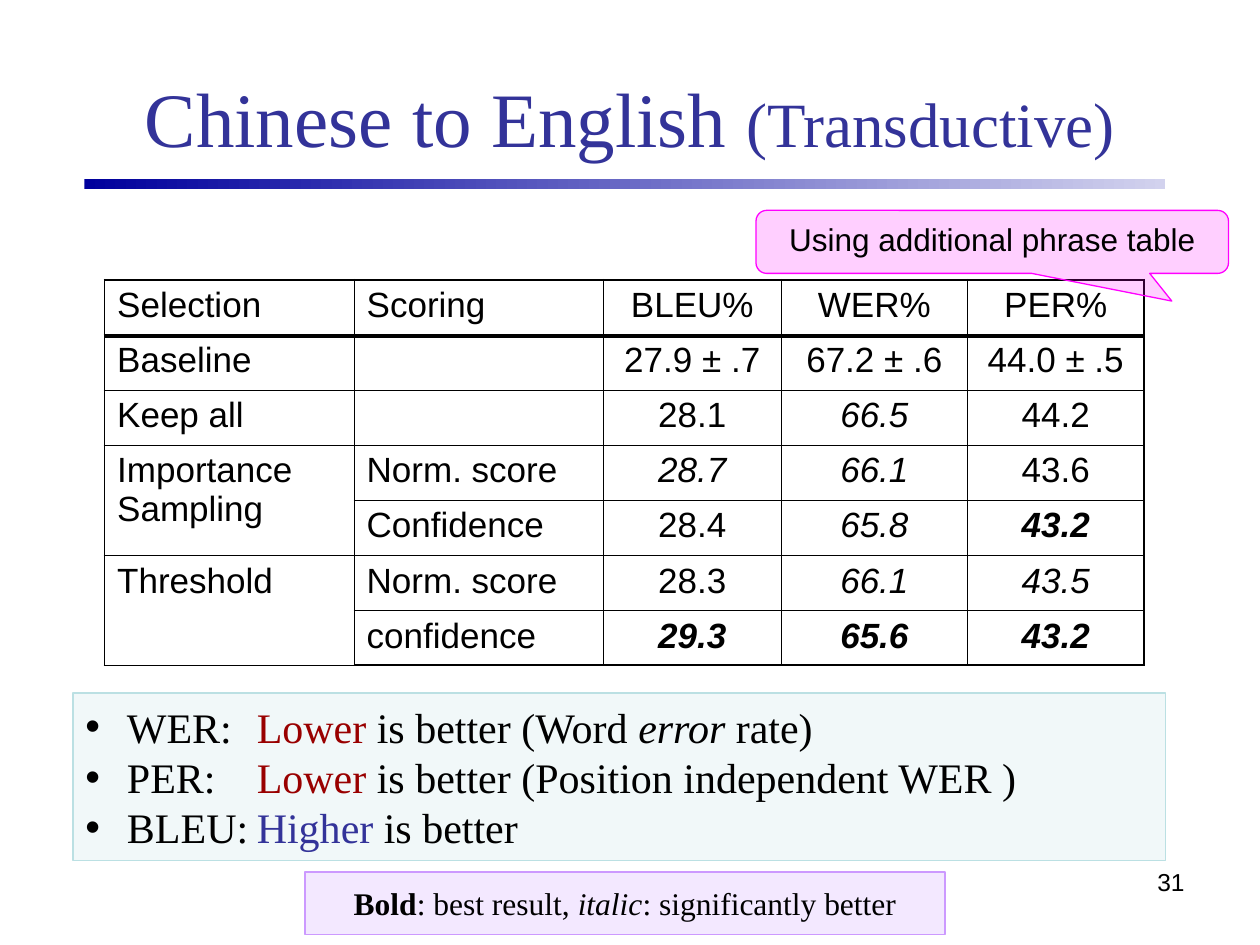
from dataclasses import dataclass, field
from typing import NamedTuple

from lxml import etree
from pptx import Presentation
from pptx import util as u
from pptx.dml import color
from pptx.enum import shapes, text
from pptx.oxml import ns


@dataclass(frozen=True)
class Theme:
    serif: str = "Times New Roman"
    sans: str = "Arial"
    ink: str = "000000"
    indigo: str = "333399"
    red: str = "990000"
    teal: str = "BBE0E3"
    lilac: str = "CC99FF"
    magenta: str = "FF00FF"
    bar_start: str = "00009C"
    bar_end: str = "D2D2EE"
    title_size: int = 44
    subtitle_size: int = 36
    legend_size: int = 24
    table_size: int = 20
    note_size: int = 18
    number_size: int = 14
    inner_line: float = 0.45
    outer_line: float = 1.08


THEME = Theme()


class Span(NamedTuple):
    text: str
    style: dict = {}


class Frame(NamedTuple):
    left: float
    top: float
    width: float
    height: float

    def lengths(self) -> list:
        return [u.Inches(value) for value in self]


@dataclass
class Panel:
    frame: Frame
    preset: shapes.MSO_SHAPE
    tint: str
    opacity: int
    lines: list
    style: dict
    align: text.PP_ALIGN = text.PP_ALIGN.CENTER
    anchor: text.MSO_ANCHOR = text.MSO_ANCHOR.MIDDLE
    adjustments: list = field(default_factory=list)
    tabs: list = field(default_factory=list)


ITALIC = {"italic": True}
BEST = {"italic": True, "bold": True}
RED = {"color": THEME.red}
LEFT, CENTER, RIGHT = text.PP_ALIGN.LEFT, text.PP_ALIGN.CENTER, text.PP_ALIGN.RIGHT


def font_style(name: str, size: float, tint: str = THEME.ink) -> dict:
    return {"name": name, "size": u.Pt(size), "color": tint}


def rgb(value: str) -> color.RGBColor:
    return color.RGBColor.from_string(value)


def add_element(parent, tag: str, **attributes: str):
    return etree.SubElement(parent, ns.qn(tag), attributes)


def write_line(para, spans: list, style: dict, align) -> None:
    para.alignment = align
    for item in spans:
        span = para.add_run()
        span.text = item.text
        for key, value in {**style, **item.style}.items():
            if key == "color":
                span.font.color.rgb = rgb(value)
            else:
                setattr(span.font, key, value)


def add_bullet(para, tabs: list) -> None:
    properties = para._p.get_or_add_pPr()
    properties.set("marL", "0")
    properties.set("indent", "0")
    bullet_color = add_element(properties, "a:buClr")
    add_element(bullet_color, "a:srgbClr", val=THEME.ink)
    add_element(properties, "a:buFont", typeface=THEME.sans)
    add_element(properties, "a:buChar", char="•")
    stops = add_element(properties, "a:tabLst")
    for stop in tabs:
        add_element(stops, "a:tab", pos=str(u.Inches(stop)), algn="l")


def add_panel(slide, panel: Panel) -> None:
    box = slide.shapes.add_shape(panel.preset, *panel.frame.lengths())
    box.shadow.inherit = False
    for index, value in enumerate(panel.adjustments):
        box.adjustments[index] = value
    box.fill.solid()
    box.fill.fore_color.rgb = rgb(panel.tint)
    tint = box._element.spPr.find(".//" + ns.qn("a:srgbClr"))
    add_element(tint, "a:alpha", val=str(panel.opacity * 1000))
    box.line.color.rgb = rgb(panel.tint)
    box.line.width = u.Pt(0.75)
    frame = box.text_frame
    frame.word_wrap = True
    frame.vertical_anchor = panel.anchor
    for index, spans in enumerate(panel.lines):
        para = frame.paragraphs[0] if index == 0 else frame.add_paragraph()
        if panel.tabs:
            add_bullet(para, panel.tabs)
        write_line(para, spans, panel.style, panel.align)


def add_border(cell, side: str, width: float) -> None:
    line = add_element(cell._tc.get_or_add_tcPr(), f"a:ln{side}", w=str(u.Pt(width)))
    fill = add_element(line, "a:solidFill")
    add_element(fill, "a:srgbClr", val=THEME.ink)


def add_results(slide, frame: Frame, widths: list, rows: list, merges: list) -> None:
    shape = slide.shapes.add_table(len(rows), len(widths), *frame.lengths())
    table = shape.table
    table.first_row = table.horz_banding = False
    for column, width in zip(table.columns, widths):
        column.width = u.Inches(width)
    last_row, last_column = len(rows) - 1, len(widths) - 1
    for r, row in enumerate(rows):
        for c, item in enumerate(row):
            cell = table.cell(r, c)
            edges = {"L": c == 0, "R": c == last_column, "T": r == 0, "B": r == last_row}
            for side, outer in edges.items():
                add_border(cell, side, THEME.outer_line if outer else THEME.inner_line)
            cell.fill.background()
            if item:
                span = item if isinstance(item, Span) else Span(item)
                write_line(cell.text_frame.paragraphs[0], [span],
                           font_style(THEME.sans, THEME.table_size), LEFT if c < 2 else CENTER)
    for r in merges:
        table.cell(r, 0).merge(table.cell(r + 1, 0))


RESULTS = [
    ["Selection", "Scoring", "BLEU%", "WER%", "PER%"],
    ["Baseline", "", "27.9 ± .7", "67.2 ± .6", "44.0 ± .5"],
    ["Keep all", "", "28.1", Span("66.5", ITALIC), "44.2"],
    ["Importance Sampling", "Norm. score", Span("28.7", ITALIC), Span("66.1", ITALIC), "43.6"],
    ["", "Confidence", "28.4", Span("65.8", ITALIC), Span("43.2", BEST)],
    ["Threshold", "Norm. score", "28.3", Span("66.1", ITALIC), Span("43.5", ITALIC)],
    ["", "confidence", Span("29.3", BEST), Span("65.6", BEST), Span("43.2", BEST)],
]
LEGEND = Panel(
    Frame(0.58, 5.5, 8.67, 1.33), shapes.MSO_SHAPE.RECTANGLE, THEME.teal, 20,
    [[Span("\tWER:\t"), Span("Lower", RED), Span(" is better (Word "),
      Span("error", ITALIC), Span(" rate)")],
     [Span("\tPER:\t"), Span("Lower", RED), Span(" is better (Position independent WER )")],
     [Span("\tBLEU:\t"), Span("Higher", {"color": THEME.indigo}), Span(" is better")]],
    font_style(THEME.serif, THEME.legend_size), align=LEFT, tabs=[0.33, 1.36])
KEY = Panel(
    Frame(2.42, 6.92, 5.08, 0.5), shapes.MSO_SHAPE.RECTANGLE, THEME.lilac, 22,
    [[Span("Bold", {"bold": True}), Span(": best result, "),
      Span("italic", ITALIC), Span(": significantly better")]],
    font_style(THEME.serif, THEME.note_size))
CALLOUT = Panel(
    Frame(6, 1.67, 3.75, 0.5), shapes.MSO_SHAPE.ROUNDED_RECTANGULAR_CALLOUT, THEME.magenta, 19,
    [[Span("Using additional phrase table")]], font_style(THEME.sans, THEME.note_size),
    anchor=text.MSO_ANCHOR.TOP, adjustments=[0.38, 0.94, 0.17])


def main() -> None:
    deck = Presentation()
    deck.slide_width, deck.slide_height = u.Inches(10), u.Inches(7.5)
    slide = deck.slides.add_slide(deck.slide_layouts[5])

    # Title and gradient rule
    title = slide.shapes.title
    title.left, title.top, title.width, title.height = Frame(0.5, 0.3, 9, 1.25).lengths()
    title.text_frame.vertical_anchor = text.MSO_ANCHOR.MIDDLE
    write_line(title.text_frame.paragraphs[0],
               [Span("Chinese to English "),
                Span("(Transductive)", {"size": u.Pt(THEME.subtitle_size)})],
               font_style(THEME.serif, THEME.title_size, THEME.indigo), CENTER)
    bar = slide.shapes.add_shape(shapes.MSO_SHAPE.RECTANGLE,
                                 *Frame(0.67, 1.42, 8.58, 0.08).lengths())
    bar.shadow.inherit = False
    bar.line.fill.background()
    bar.fill.gradient()
    bar.fill.gradient_angle = 0
    for stop, tint in zip(bar.fill.gradient_stops, (THEME.bar_start, THEME.bar_end)):
        stop.color.rgb = rgb(tint)

    # Results table, legend and key
    add_results(slide, Frame(0.83, 2.22, 8.25, 3.06), [1.98, 1.98, 1.41, 1.48, 1.4],
                RESULTS, merges=[3, 5])
    for panel in (LEGEND, KEY):
        add_panel(slide, panel)

    # Heavy line under the header row
    rule = slide.shapes.add_connector(shapes.MSO_CONNECTOR.STRAIGHT, u.Inches(0.83),
                                      u.Inches(2.67), u.Inches(9.08), u.Inches(2.67))
    rule.line.color.rgb = rgb(THEME.ink)
    rule.line.width = u.Pt(2)
    add_element(rule._element.spPr, "a:effectLst")

    # Callout and slide number
    add_panel(slide, CALLOUT)
    number = slide.shapes.add_textbox(*Frame(7.17, 6.83, 2.33, 0.52).lengths())
    number.text_frame.word_wrap = True
    write_line(number.text_frame.paragraphs[0], [Span("31")],
               font_style(THEME.sans, THEME.number_size), RIGHT)

    deck.save("out.pptx")


if __name__ == "__main__":
    main()
